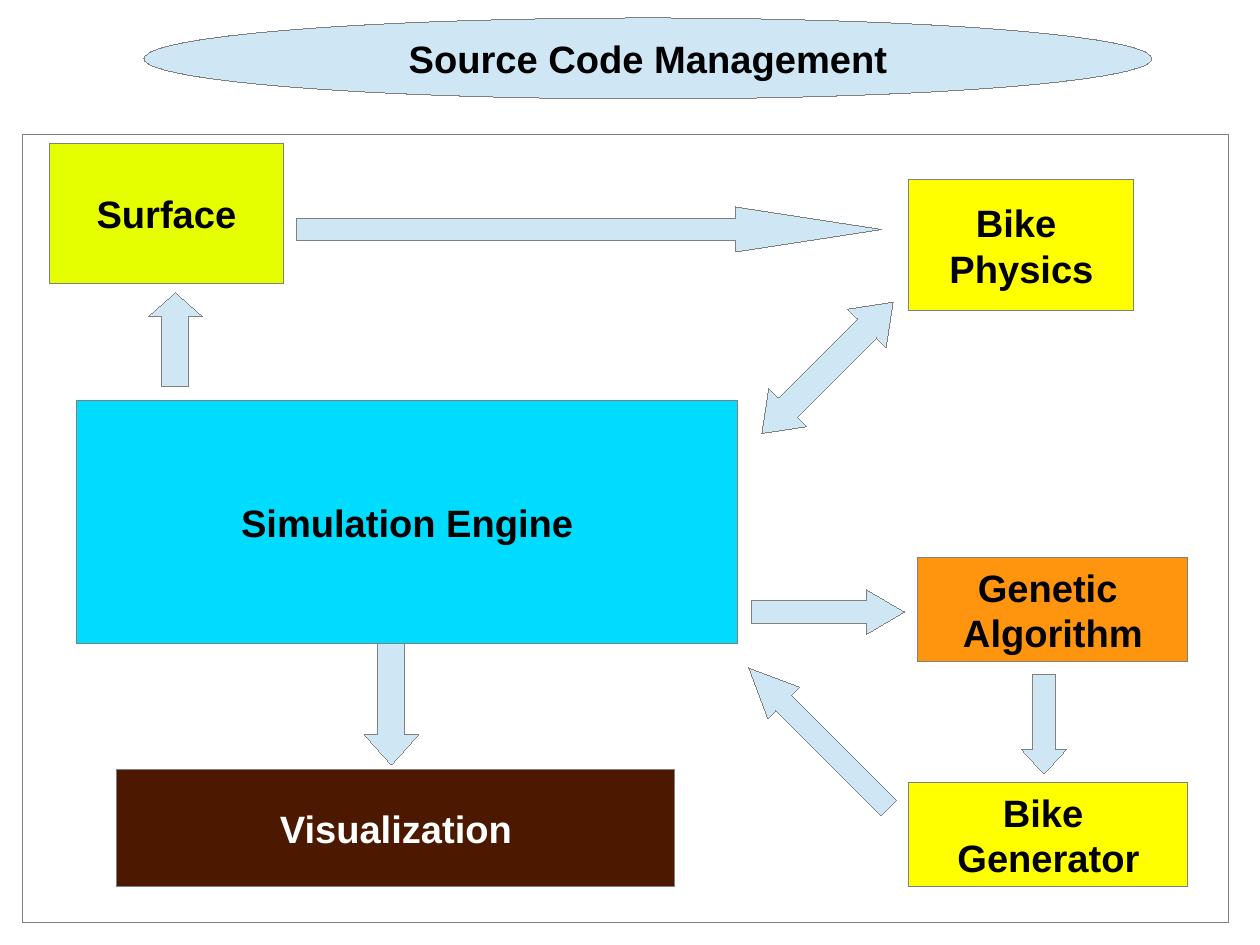
"""Build the architecture slide of a bike evolution simulator."""
from pptx import Presentation
from pptx.dml.color import RGBColor
from pptx.enum.shapes import MSO_SHAPE
from pptx.enum.text import MSO_ANCHOR, MSO_AUTO_SIZE, PP_ALIGN
from pptx.util import Pt

PX = 9000
HAIRLINE = 1
TITLE_ONLY = 5
ELLIPSE, PROCESS, FRAME = MSO_SHAPE.OVAL, MSO_SHAPE.FLOWCHART_PROCESS, MSO_SHAPE.RECTANGLE
UP, DOWN = MSO_SHAPE.UP_ARROW, MSO_SHAPE.DOWN_ARROW
RIGHT, BOTH_WAYS = MSO_SHAPE.RIGHT_ARROW, MSO_SHAPE.LEFT_RIGHT_ARROW
MIDDLE, CENTER, NO_AUTOFIT = MSO_ANCHOR.MIDDLE, PP_ALIGN.CENTER, MSO_AUTO_SIZE.NONE
COLORS = {
    "pale": "CFE7F5", "outline": "808080", "yellow": "FFFF00", "lime": "E6FF00",
    "cyan": "00DCFF", "orange": "FF950E", "brown": "4C1900",
    "black": "000000", "white": "FFFFFF",
}

deck = Presentation()
deck.slide_width, deck.slide_height = 1120 * PX, 840 * PX
slide = deck.slides.add_slide(deck.slide_layouts[TITLE_ONLY])


def draw(preset, left, top, width, height, fill=None):
    shape = slide.shapes.add_shape(preset, left * PX, top * PX, width * PX, height * PX)
    if fill:
        shape.fill.solid()
        shape.fill.fore_color.rgb = RGBColor.from_string(COLORS[fill])
    else:
        shape.fill.background()
    shape.line.color.rgb = RGBColor.from_string(COLORS["outline"])
    shape.line.width = HAIRLINE
    shape.shadow.inherit = False
    return shape


def write(shape, text, color="black", size=24, font="Arial", bold=True):
    frame = shape.text_frame
    frame.text = text
    frame.word_wrap = False
    frame.auto_size = NO_AUTOFIT
    frame.vertical_anchor = MIDDLE
    for paragraph in frame.paragraphs:
        paragraph.alignment = CENTER
        paragraph.font.name = font
        paragraph.font.size = Pt(size)
        paragraph.font.bold = bold
        paragraph.font.color.rgb = RGBColor.from_string(COLORS[color])


management = slide.shapes.title
halo = draw(ELLIPSE, 128, 16, 896, 72, "pale")
management.left, management.top = halo.left, halo.top
management.width, management.height = halo.width, halo.height
management.element.addprevious(halo.element)
write(management, "Source Code Management")

modules_shown = [
    ("Bike \nPhysics", 808, 160, 200, 116, "yellow", "black"),
    ("Bike \nGenerator", 808, 696, 248, 92, "yellow", "black"),
    ("Surface", 44, 128, 208, 124, "lime", "black"),
    ("Simulation Engine", 68, 356, 588, 216, "cyan", "black"),
    ("Genetic \nAlgorithm", 816, 496, 240, 92, "orange", "black"),
    ("Visualization", 104, 684, 496, 104, "brown", "white"),
]
for label, left, top, width, height, fill, color in modules_shown:
    module = draw(PROCESS, left, top, width, height, fill)
    write(module, label, color=color)

flows = [
    (DOWN, 324, 572, 48, 108, 0.56, 0),
    (BOTH_WAYS, 653, 303, 165, 48, 0.68, 315),
    (UP, 132, 260, 48, 84, 0.44, 0),
    (DOWN, 908, 600, 40, 88, 0.55, 0),
    (RIGHT, 668, 524, 136, 40, 0.85, 0),
    (UP, 708, 568, 40, 176, 1.1, 315),
]
system = (20, 120, 1072, 700)
surface_to_physics = (RIGHT, 264, 184, 520, 40, 3.25, 0)
for direction, left, top, width, height, head, angle in flows + [surface_to_physics]:
    flow = draw(direction, left, top, width, height, "pale")
    flow.adjustments[0] = 0.5
    flow.adjustments[1] = head
    flow.rotation = angle

draw(FRAME, *system)

deck.save("out.pptx")
